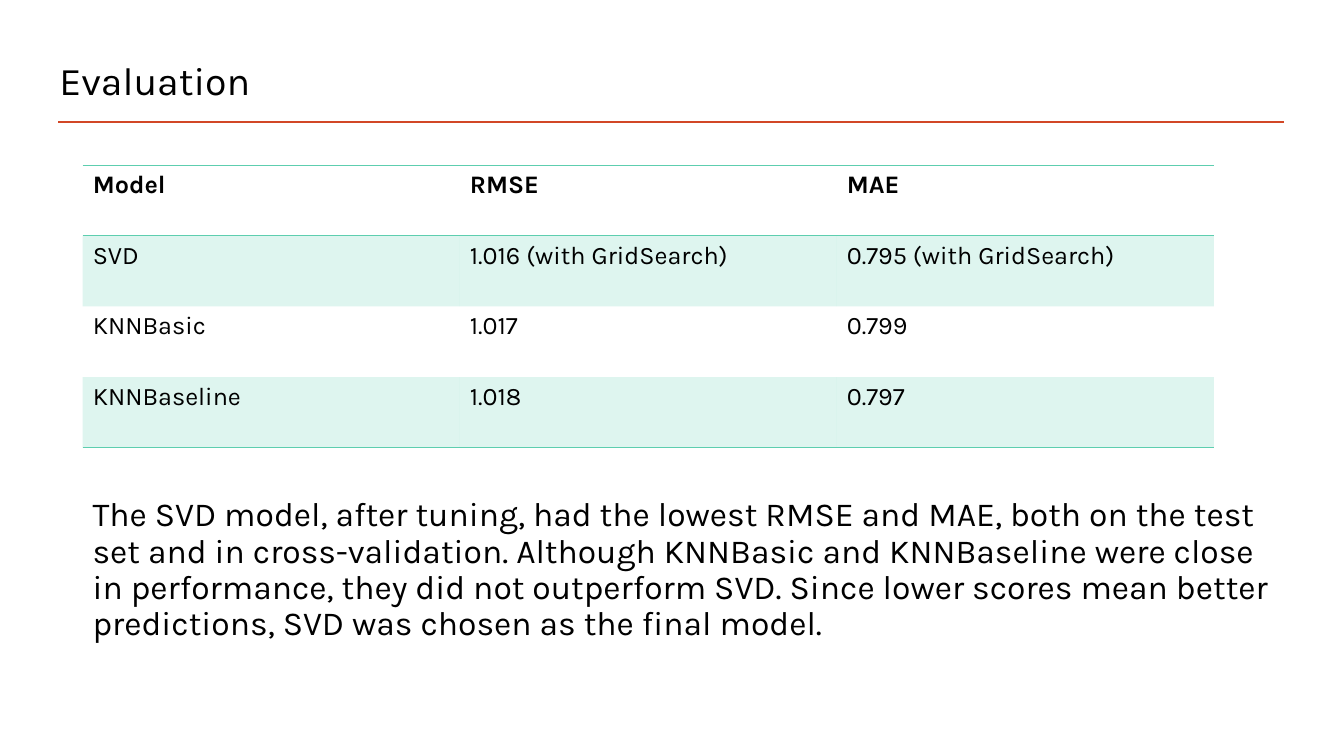
from lxml import etree
from pptx import Presentation
from pptx import util as u
from pptx.dml.color import RGBColor
from pptx.enum import shapes, text
from pptx.oxml.ns import qn

COLORS = {"ink": "000000", "rule": "D24726", "mint": "5DCEAF"}
FONT = "Karla"
SCORES = [
    ("Model", "RMSE", "MAE"),
    ("SVD", "1.016 (with GridSearch)", "0.795 (with GridSearch)"),
    ("KNNBasic", "1.017", "0.799"),
    ("KNNBaseline", "1.018", "0.797"),
]
CONCLUSION = (
    "The SVD model, after tuning, had the lowest RMSE and MAE, both on the test set "
    "and in cross-validation. Although KNNBasic and KNNBaseline were close in performance, "
    "they did not outperform SVD. Since lower scores mean better predictions, "
    "SVD was chosen as the final model."
)
LEFT = 0.82
COLUMN, ROW = 3.74, 0.7


def style_text(frame, size, bold=False):
    for span in frame.paragraphs[0].runs:
        span.font.name = FONT
        span.font.size = u.Pt(size)
        span.font.bold = bold
        span.font.color.rgb = RGBColor.from_string(COLORS["ink"])


def set_border(cell, position, side, visible):
    line = etree.Element(qn(f"a:ln{side}"), w=str(u.Pt(1)))
    if visible:
        fill = etree.SubElement(line, qn("a:solidFill"))
        etree.SubElement(fill, qn("a:srgbClr"), val=COLORS["mint"])
    else:
        etree.SubElement(line, qn("a:noFill"))
    cell._tc.get_or_add_tcPr().insert(position, line)


deck = Presentation()
deck.slide_width, deck.slide_height = u.Inches(13.33), u.Inches(7.5)
page = deck.slides.add_slide(deck.slide_layouts[6])

rule = page.shapes.add_connector(
    shapes.MSO_CONNECTOR.STRAIGHT, u.Inches(0.58), u.Inches(1.21), u.Inches(12.74), u.Inches(1.21)
)
rule.line.color.rgb = RGBColor.from_string(COLORS["rule"])
rule.line.width = u.Pt(2)
etree.SubElement(rule._element.spPr, qn("a:effectLst"))

for words, place, size, anchor in [
    ("Evaluation", (0.49, 0.47, 10, 0.7), 28, text.MSO_ANCHOR.MIDDLE),
    (CONCLUSION, (LEFT, 4.89, 11.87, 1.87), 24, text.MSO_ANCHOR.TOP),
]:
    box = page.shapes.add_textbox(*(u.Inches(length) for length in place))
    frame = box.text_frame
    frame.word_wrap = True
    frame.vertical_anchor = anchor
    frame.text = words
    frame.paragraphs[0].line_spacing = 0.9
    style_text(frame, size)

table = page.shapes.add_table(
    len(SCORES), len(SCORES[0]), u.Inches(LEFT), u.Inches(1.64),
    u.Inches(COLUMN * len(SCORES[0])), u.Inches(ROW * len(SCORES)),
).table
table.first_row = True
table.horz_banding = False
for column in table.columns:
    column.width = u.Inches(COLUMN)
last = len(SCORES) - 1
for r, scores in enumerate(SCORES):
    table.rows[r].height = u.Inches(ROW)
    for c, score in enumerate(scores):
        cell = table.cell(r, c)
        cell.text_frame.text = score
        style_text(cell.text_frame, 18, bold=r == 0)
        if r % 2:
            cell.fill.solid()
            cell.fill.fore_color.rgb = RGBColor.from_string(COLORS["mint"])
            tint = cell._tc.tcPr.find(".//" + qn("a:srgbClr"))
            etree.SubElement(tint, qn("a:alpha"), val="20000")
        else:
            cell.fill.background()
        edges = {"L": False, "R": False, "T": r in (0, 1), "B": r in (0, last)}
        for position, (side, visible) in enumerate(edges.items()):
            set_border(cell, position, side, visible)

deck.save("out.pptx")
